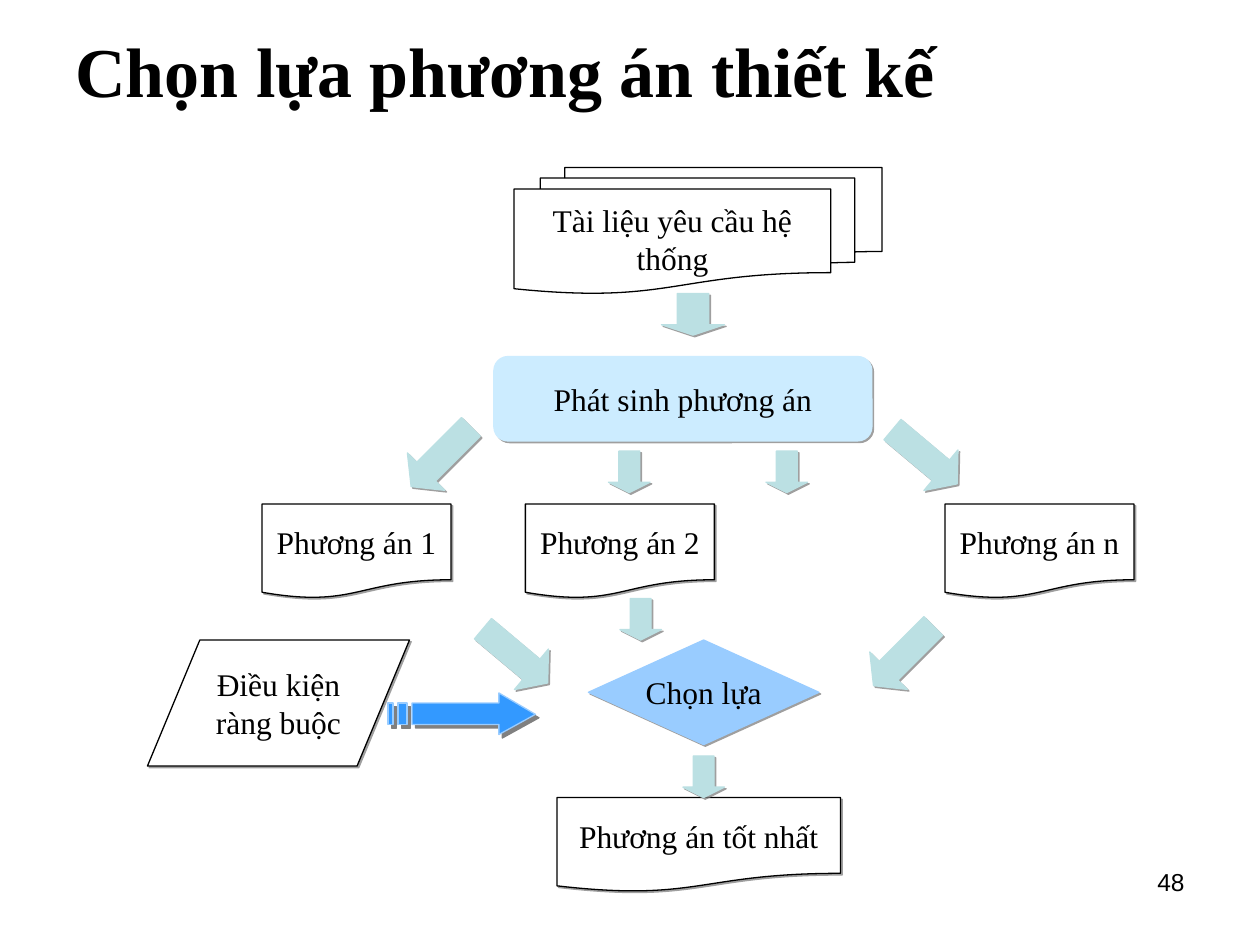
from lxml import etree
from pptx import Presentation
from pptx.dml.color import RGBColor
from pptx.enum.shapes import MSO_SHAPE as Shape
from pptx.enum.text import MSO_ANCHOR as Anchor, PP_ALIGN as Align
from pptx.oxml.ns import qn
from pptx.util import Inches, Pt

COLORS = {
    "text": "000000", "paper": "FFFFFF", "process": "CCECFF",
    "decision": "99CCFF", "flow": "BBE0E3", "constraint": "3399FF",
    "shadow": "808080",
}
SERIF = "Times New Roman"


def rgb(name):
    return RGBColor.from_string(COLORS[name])


def write(shape, text, size=18, font=SERIF, bold=False, align=Align.CENTER,
          anchor=Anchor.MIDDLE, wrap=True):
    frame = shape.text_frame
    frame.text = text
    frame.word_wrap = wrap
    frame.vertical_anchor = anchor
    paragraph = frame.paragraphs[0]
    paragraph.alignment = align
    style = paragraph.runs[0].font
    style.size, style.name, style.bold = Pt(size), font, bold
    style.color.rgb = rgb("text")


def paint(shape, fill, line, distance=1.4, opacity=75):
    """Set fill and outline, and a hard shadow to the lower right unless distance is 0."""
    shape.fill.solid()
    shape.fill.fore_color.rgb = rgb(fill)
    shape.line.color.rgb = rgb(line)
    shape.line.width = Pt(0.75)
    shape.shadow.inherit = False
    if distance:
        effects = shape._element.spPr.find(qn("a:effectLst"))
        shadow = etree.SubElement(
            effects, qn("a:outerShdw"), blurRad="0", dist=str(Pt(distance)),
            dir=str(45 * 60000), algn="ctr", rotWithShape="0")
        color = etree.SubElement(shadow, qn("a:srgbClr"), val=COLORS["shadow"])
        etree.SubElement(color, qn("a:alpha"), val=str(opacity * 1000))


def add_label(slide, box, text, **style):
    write(slide.shapes.add_textbox(*map(Inches, box)), text, **style)


def add_node(slide, kind, box, text, fill="paper", line="text", wrap=False, distance=1.4):
    node = slide.shapes.add_shape(kind, *map(Inches, box))
    paint(node, fill, line, distance)
    write(node, text, wrap=wrap)
    return node


def add_flow_arrow(slide, box, head=0.25, rotation=0):
    arrow = slide.shapes.add_shape(Shape.DOWN_ARROW, *map(Inches, box))
    arrow.adjustments[0] = 0.5
    arrow.adjustments[1] = head
    arrow.rotation = rotation
    paint(arrow, "flow", "flow")


def add_striped_arrow(slide):
    """Draw the constraint arrow: an arrow body with two stripes at its tail."""
    top, upper, middle, lower, bottom = 5.5, 5.58, 5.67, 5.75, 5.83
    neck, tip = 3.96, 4.25
    body = [(neck, top), (neck, upper), (3.27, upper), (3.27, lower),
            (neck, lower), (neck, bottom), (tip, middle)]
    stripes = [[(left, upper), (left, lower), (right, lower), (right, upper)]
               for left, right in ((3.16, 3.23), (3.08, 3.12))]
    builder = None
    for outline in [body, *stripes]:
        start, *rest = [(Inches(x), Inches(y)) for x, y in outline]
        if builder is None:
            builder = slide.shapes.build_freeform(*start)
        else:
            builder.move_to(*start)
        builder.add_line_segments(rest, close=True)
    paint(builder.convert_to_shape(), "constraint", "decision", distance=2.8, opacity=100)


def main():
    deck = Presentation()
    deck.slide_width, deck.slide_height = Inches(10), Inches(7.5)
    slide = deck.slides.add_slide(deck.slide_layouts[6])

    add_label(slide, (7.17, 6.83, 2.33, 0.52), "48", size=14, font="Arial",
              align=Align.RIGHT, anchor=Anchor.TOP)
    add_label(slide, (0.5, 0.17, 9, 0.76), "Chọn lựa phương án thiết kế",
              size=40, bold=True, align=Align.LEFT)

    add_node(slide, Shape.FLOWCHART_MULTIDOCUMENT, (4.08, 1.33, 2.92, 1),
             "Tài liệu yêu cầu hệ thống", wrap=True, distance=0)
    generate = add_node(slide, Shape.ROUNDED_RECTANGLE, (3.92, 2.83, 3, 0.67),
                        "Phát sinh phương án", "process", "process")
    generate.adjustments[0] = 0.167
    for left, option in ((2.08, "1"), (4.17, "2"), (7.5, "n")):
        add_node(slide, Shape.FLOWCHART_DOCUMENT, (left, 4, 1.5, 0.75), f"Phương án {option}")
    add_node(slide, Shape.DIAMOND, (4.67, 5.08, 1.83, 0.83), "Chọn lựa",
             "decision", "decision")
    add_node(slide, Shape.FLOWCHART_DOCUMENT, (4.42, 6.33, 2.25, 0.75), "Phương án tốt nhất")
    add_node(slide, Shape.FLOWCHART_DATA, (1.17, 5.08, 2.08, 1),
             "Điều kiện ràng buộc", wrap=True)

    add_flow_arrow(slide, (5.25, 2.33, 0.5, 0.33))
    for left, top in ((4.83, 3.58), (6.08, 3.58), (4.92, 4.75), (5.42, 6)):
        add_flow_arrow(slide, (left, top, 0.33, 0.33))
    for left, top, rotation in ((3.29, 3.29, 45), (7.13, 3.29, 310),
                                (3.88, 4.87, 310), (6.96, 4.87, 45)):
        add_flow_arrow(slide, (left, top, 0.42, 0.67), head=0.4, rotation=rotation)
    add_striped_arrow(slide)

    deck.save("out.pptx")


if __name__ == "__main__":
    main()
